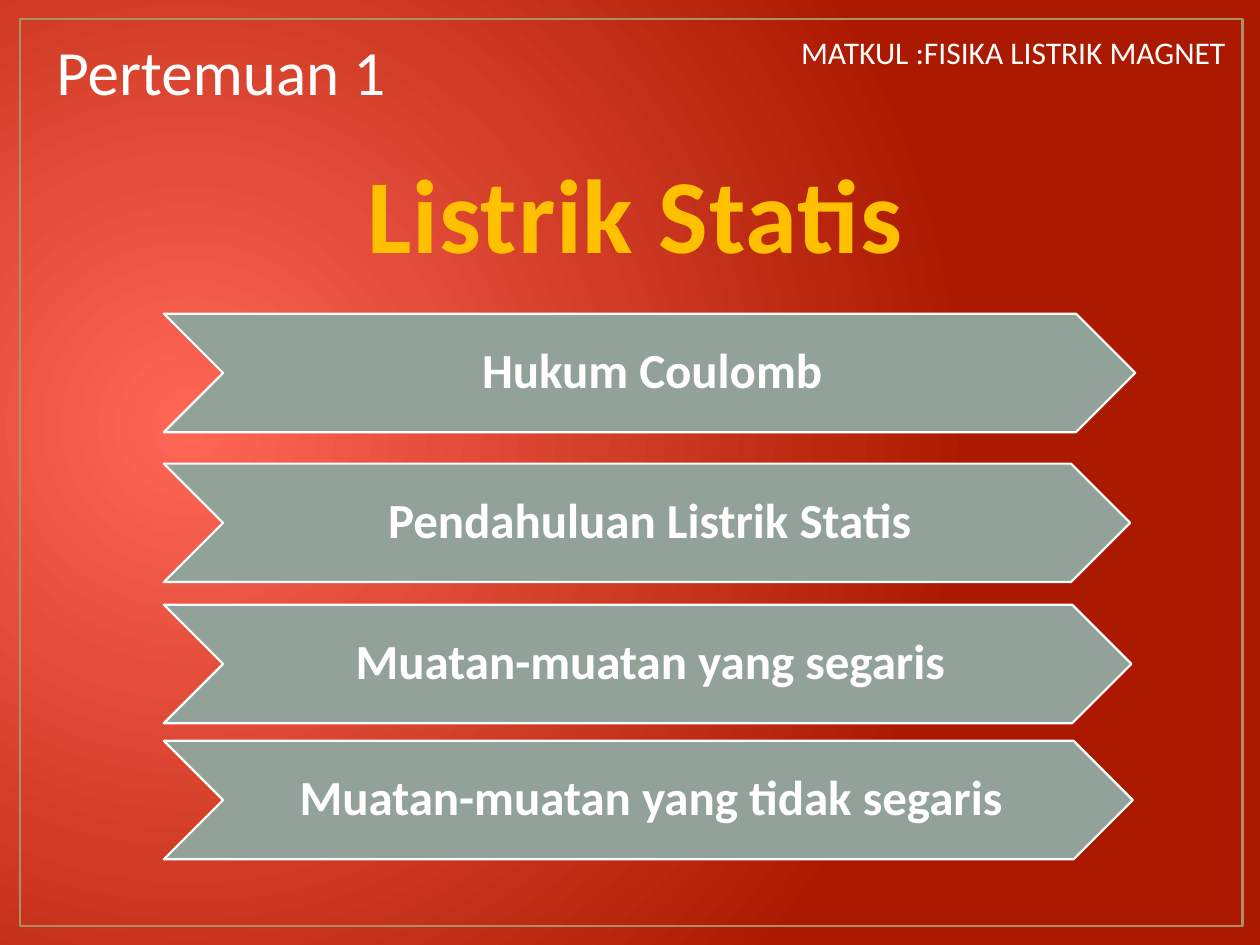
import pptx
import pptx.util
import pptx.dml.color
import pptx.enum.shapes
import pptx.enum.text
import pptx.oxml
import pptx.oxml.ns

Inches = pptx.util.Inches
Pt = pptx.util.Pt
RGB = pptx.dml.color.RGBColor.from_string
SHAPE = pptx.enum.shapes.MSO_SHAPE
ALIGN = pptx.enum.text.PP_ALIGN
ANCHOR = pptx.enum.text.MSO_ANCHOR
AUTO = pptx.enum.text.MSO_AUTO_SIZE
qn = pptx.oxml.ns.qn

COLORS = {
    "glow": "FF6656",
    "red": "AB1A00",
    "frame": "AD8F67",
    "title": "FFC000",
    "chevron": "93A299",
    "white": "FFFFFF",
}


def write(tf, text, size, color, bold, align):
    p = tf.paragraphs[0]
    p.alignment = align
    r = p.add_run()
    r.text = text
    for name, value in {"name": "Calibri", "size": Pt(size), "bold": bold}.items():
        setattr(r.font, name, value)
    r.font.color.rgb = RGB(COLORS[color])
    return r


prs = pptx.Presentation()
prs.slide_width = Inches(10)
prs.slide_height = Inches(7.5)
s = prs.slides.add_slide(prs.slide_layouts[5])

fill = s.background.fill
fill.gradient()
for stop, color in zip(fill.gradient_stops, ("glow", "red")):
    stop.color.rgb = RGB(COLORS[color])
grad = s._element.find(".//" + qn("a:gradFill"))
grad.replace(grad.find(qn("a:lin")), pptx.oxml.parse_xml(
    f'<a:path {pptx.oxml.ns.nsdecls("a")} path="circle">'
    '<a:fillToRect l="15000" t="50000" r="85000" b="60000"/></a:path>'))

frame = s.shapes.add_shape(SHAPE.RECTANGLE, Inches(0.16), Inches(0.15), Inches(9.7), Inches(7.2))
frame.shadow.inherit = False
frame.fill.background()
frame.line.color.rgb = RGB(COLORS["frame"])
frame.line.width = Pt(1.5)

title = s.shapes.title
for name, value in {"left": 0.2, "top": 1.47, "width": 9.69, "height": 0.76}.items():
    setattr(title, name, Inches(value))
title.text_frame.auto_size = AUTO.NONE
title.text_frame.vertical_anchor = ANCHOR.BOTTOM
r = write(title.text_frame, "Listrik Statis", 60, "title", True, ALIGN.CENTER)
r.font._element.set("spc", "50")

topics = [
    ("Hukum Coulomb", 2.49, 7.71),
    ("Pendahuluan Listrik Statis", 3.68, 7.67),
    ("Muatan-muatan yang segaris", 4.8, 7.68),
    ("Muatan-muatan yang tidak segaris", 5.88, 7.69),
]
for text, top, width in topics:
    sp = s.shapes.add_shape(SHAPE.CHEVRON, Inches(1.3), Inches(top), Inches(width), Inches(0.94))
    sp.shadow.inherit = False
    sp.fill.solid()
    sp.fill.fore_color.rgb = RGB(COLORS["chevron"])
    sp.line.color.rgb = RGB(COLORS["white"])
    sp.line.width = Pt(1.25)
    tf = sp.text_frame
    for name, value in {"left": 0.04, "top": 0.02, "right": 0, "bottom": 0.02}.items():
        setattr(tf, "margin_" + name, Inches(value))
    tf.vertical_anchor = ANCHOR.MIDDLE
    write(tf, text, 28, "white", True, ALIGN.CENTER)
    tf.paragraphs[0].line_spacing = 0.9

labels = [
    ("Pertemuan 1", 0.35, 3.9, 0.71, 36, True),
    ("MATKUL :FISIKA LISTRIK MAGNET", 6.26, 3.57, 0.4, 18, False),
]
for text, left, width, height, size, wrap in labels:
    sp = s.shapes.add_textbox(Inches(left), Inches(0.21), Inches(width), Inches(height))
    sp.text_frame.word_wrap = wrap
    sp.text_frame.auto_size = AUTO.SHAPE_TO_FIT_TEXT
    write(sp.text_frame, text, size, "white", False, ALIGN.LEFT)

prs.save("out.pptx")
